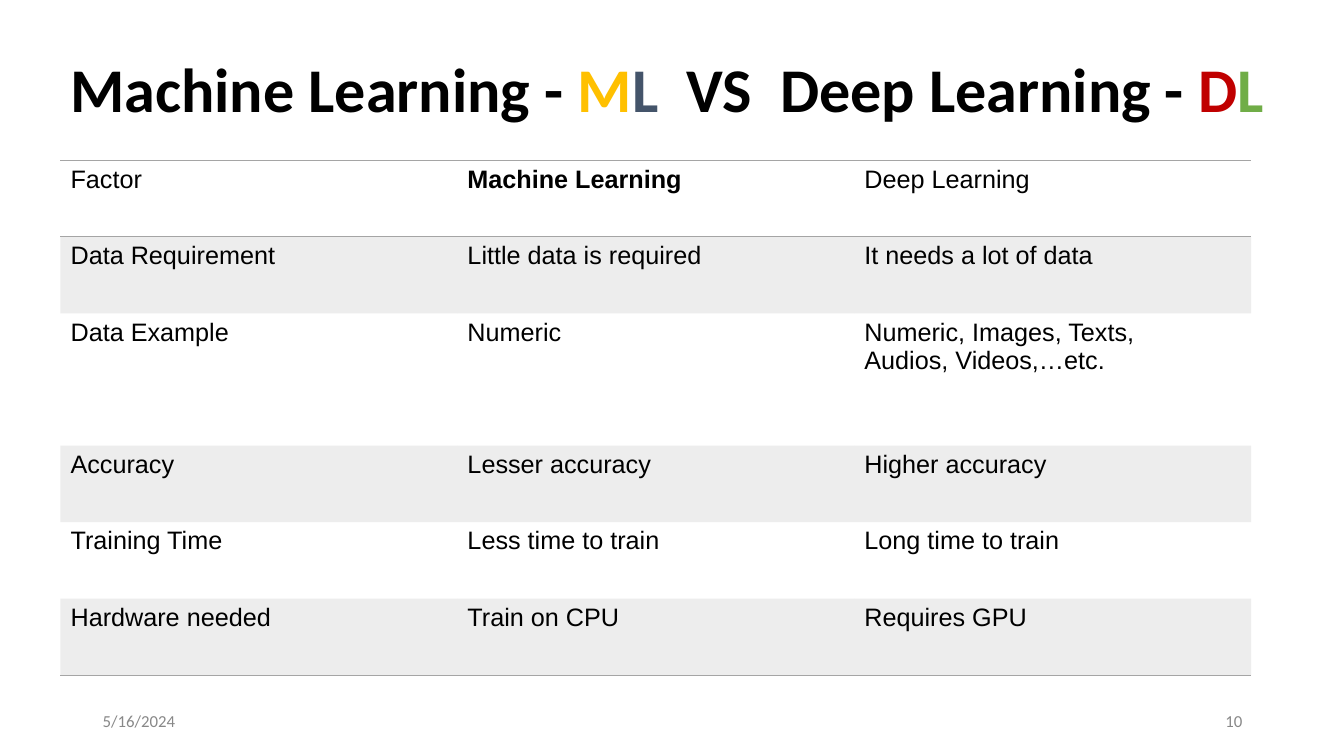
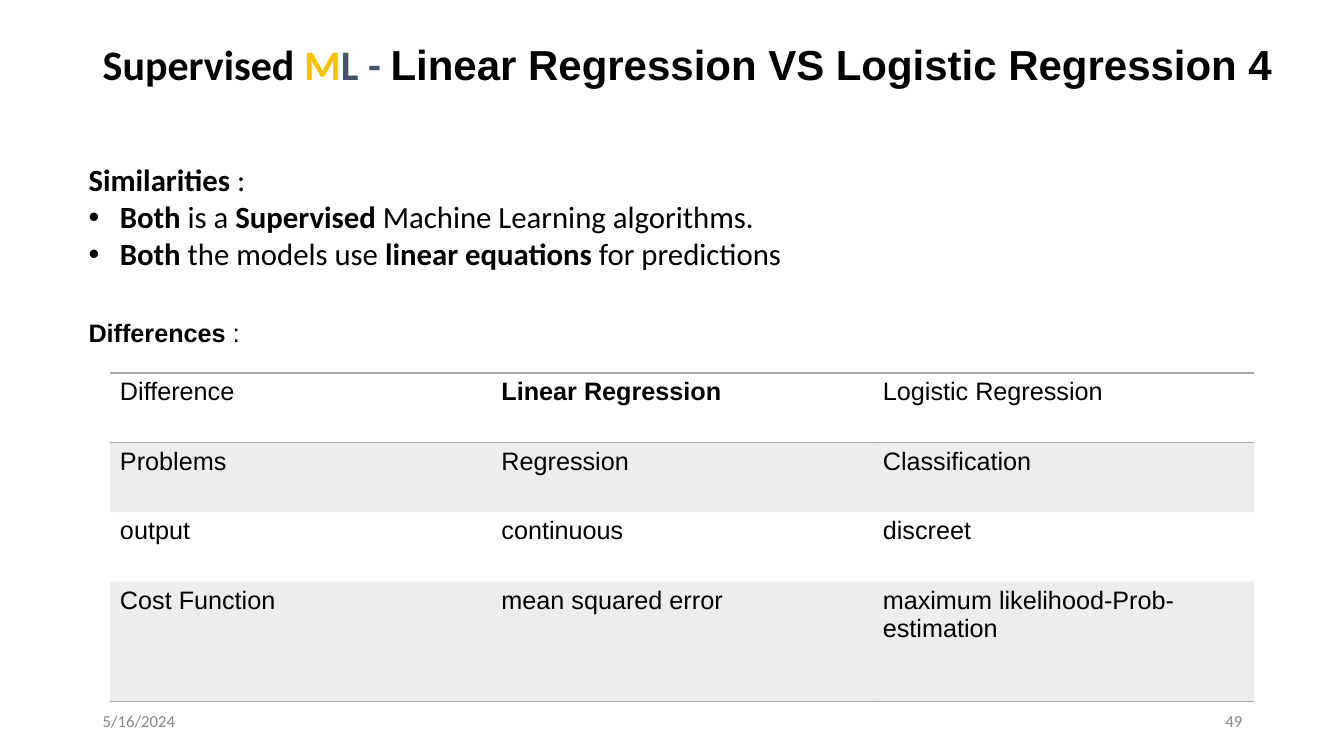
from lxml import etree
from pptx import Presentation
from pptx.dml.color import RGBColor
from pptx.enum.text import MSO_ANCHOR, MSO_AUTO_SIZE, PP_ALIGN
from pptx.oxml.ns import qn
from pptx.util import Inches, Pt

TOP, MIDDLE = MSO_ANCHOR.TOP, MSO_ANCHOR.MIDDLE
LEFT, RIGHT = PP_ALIGN.LEFT, PP_ALIGN.RIGHT
GROW, FIXED = MSO_AUTO_SIZE.SHAPE_TO_FIT_TEXT, MSO_AUTO_SIZE.NONE
BLANK_LAYOUT = 6
PLAIN_TABLE_STYLE = "{2D5ABB26-0587-4C30-8999-92F81FD0307C}"

COLORS = {
    "black": "000000", "footer": "888888", "gray": "A5A5A5", "yellow": "FFC000",
    "slate": "44546A", "red": "C00000", "green": "70AD47",
}
TITLE = {"name": "Calibri", "bold": True}
BODY = {"name": "Calibri", "size": Pt(22)}
TABLE = {"name": "Arial", "size": Pt(18)}
FOOTER = {"name": "Calibri", "size": Pt(12), "color": "footer"}
BOLD = {"bold": True}


def add_spans(para, spans, base):
    for text, changes in spans:
        span = para.add_run()
        span.text = text
        values = {"color": "black", "bold": False, **base, **changes}
        span.font.color.rgb = RGBColor.from_string(COLORS[values.pop("color")])
        spacing = values.pop("spacing", None)
        for name, value in values.items():
            setattr(span.font, name, value)
        if spacing:
            span.font._element.set("spc", str(spacing * 100))


def add_bullet(para):
    properties = para._p.get_or_add_pPr()
    properties.set("marL", str(Inches(0.31)))
    properties.set("indent", str(-Inches(0.31)))
    etree.SubElement(properties, qn("a:buFont"), typeface="Arial")
    etree.SubElement(properties, qn("a:buChar"), char="•")


def add_text(page, box, paragraphs, base, anchor=TOP, size=FIXED, align=LEFT,
             line_spacing=None, first_bullet=None):
    frame = page.shapes.add_textbox(*map(Inches, box)).text_frame
    for name, value in {"word_wrap": True, "auto_size": size, "vertical_anchor": anchor}.items():
        setattr(frame, name, value)
    for index, spans in enumerate(paragraphs):
        para = frame.add_paragraph() if index else frame.paragraphs[0]
        para.alignment = align
        if line_spacing:
            para.line_spacing = line_spacing
        if first_bullet is not None and index >= first_bullet:
            add_bullet(para)
        add_spans(para, spans, base)


def add_title(page, box, spans, size):
    add_text(page, box, [spans], {**TITLE, "size": Pt(size)}, line_spacing=0.9)


def add_footer(page, box, number):
    left, top, width, height = box
    part_width = 3
    for text, start, align in (("5/16/2024", left, LEFT),
                               (number, left + width - part_width, RIGHT)):
        add_text(page, (start, top, part_width, height), [[(text, {})]], FOOTER,
                 anchor=MIDDLE, align=align)


def add_border(cell, side):
    line = etree.SubElement(cell._tc.get_or_add_tcPr(), qn(f"a:ln{side}"), w=str(Pt(1)))
    fill = etree.SubElement(line, qn("a:solidFill"))
    etree.SubElement(fill, qn("a:srgbClr"), val=COLORS["gray"])


def shade(cell):
    cell.fill.solid()
    cell.fill.fore_color.rgb = RGBColor.from_string(COLORS["gray"])
    color = cell._tc.tcPr.find(f"{qn('a:solidFill')}/{qn('a:srgbClr')}")
    etree.SubElement(color, qn("a:alpha"), val="20000")


def add_comparison(page, box, rows, heights):
    left, top, width = box
    frame = page.shapes.add_table(len(rows), len(rows[0]), Inches(left), Inches(top),
                                  Inches(width), Inches(sum(heights)))
    table = frame.table
    table.first_row = table.horz_banding = False
    table._tbl.tblPr.find(qn("a:tableStyleId")).text = PLAIN_TABLE_STYLE
    for row_index, (texts, height) in enumerate(zip(rows, heights)):
        table.rows[row_index].height = Inches(height)
        sides = "TB" if row_index == 0 else "B" if row_index == len(rows) - 1 else ""
        for column_index, text in enumerate(texts):
            cell = table.cell(row_index, column_index)
            for side in sides:
                add_border(cell, side)
            if row_index % 2:
                shade(cell)
            else:
                cell.fill.background()
            emphasis = {"bold": row_index == 0 and column_index == 1}
            for index, line in enumerate(text.split("\n")):
                para = cell.text_frame.add_paragraph() if index else cell.text_frame.paragraphs[0]
                add_spans(para, [(line, emphasis)], TABLE)


def build_learning_page(page):
    wide_gap = (" ", {"spacing": 10})
    add_comparison(page, (0.6, 1.59, 11.81), [
        ("Factor", "Machine Learning", "Deep Learning"),
        ("Data Requirement", "Little data is required", "It needs a lot of data"),
        ("Data Example", "Numeric", "Numeric, Images, Texts,\nAudios, Videos,…etc."),
        ("Accuracy", "Lesser accuracy", "Higher accuracy"),
        ("Training Time", "Less time to train", "Long time to train"),
        ("Hardware needed", "Train on CPU", "Requires GPU"),
    ], [0.76, 0.76, 1.31, 0.76, 0.76, 0.76])
    add_title(page, (0.6, 0.53, 12.5, 0.78), [
        ("Machine Learning - ", {}), ("M", {"color": "yellow"}), ("L", {"color": "slate"}),
        wide_gap, ("VS", {}), wide_gap, ("Deep Learning - ", {}),
        ("D", {"color": "red"}), ("L", {"color": "green"}),
    ], 44.4)


def build_regression_page(page):
    add_text(page, (0.78, 1.55, 11.35, 1.21), [
        [("Similarities", BOLD), (" :", {})],
        [("Both", BOLD), (" is a ", {}), ("Supervised", BOLD),
         (" Machine Learning algorithms.", {})],
        [("Both", BOLD), (" the models use ", {}), ("linear equations ", BOLD),
         ("for predictions", {})],
    ], BODY, size=GROW, first_bullet=1)
    add_text(page, (0.78, 3.1, 6.84, 0.4), [[("Differences", BOLD), (" :", {})]],
             TABLE, size=GROW)
    add_comparison(page, (1.09, 3.7, 11.35), [
        ("Difference", "Linear Regression", "Logistic Regression"),
        ("Problems", "Regression", "Classification"),
        ("output", "continuous", "discreet"),
        ("Cost Function", "mean squared error", "maximum likelihood-Prob- estimation"),
    ], [0.69, 0.69, 0.69, 1.19])
    add_title(page, (0.92, 0.39, 11.89, 1.17), [
        ("Supervised ", {}), ("M", {"color": "yellow"}), ("L - ", {"color": "slate"}),
        ("Linear Regression VS Logistic Regression 4", {"name": "Arial"}),
    ], 30)


def main():
    deck = Presentation()
    deck.slide_width, deck.slide_height = Inches(13.33), Inches(7.5)
    for build_page, number in ((build_learning_page, "10"), (build_regression_page, "49")):
        page = deck.slides.add_slide(deck.slide_layouts[BLANK_LAYOUT])
        build_page(page)
        add_footer(page, (0.92, 6.95, 11.5, 0.4), number)
    deck.save("out.pptx")


if __name__ == "__main__":
    main()
